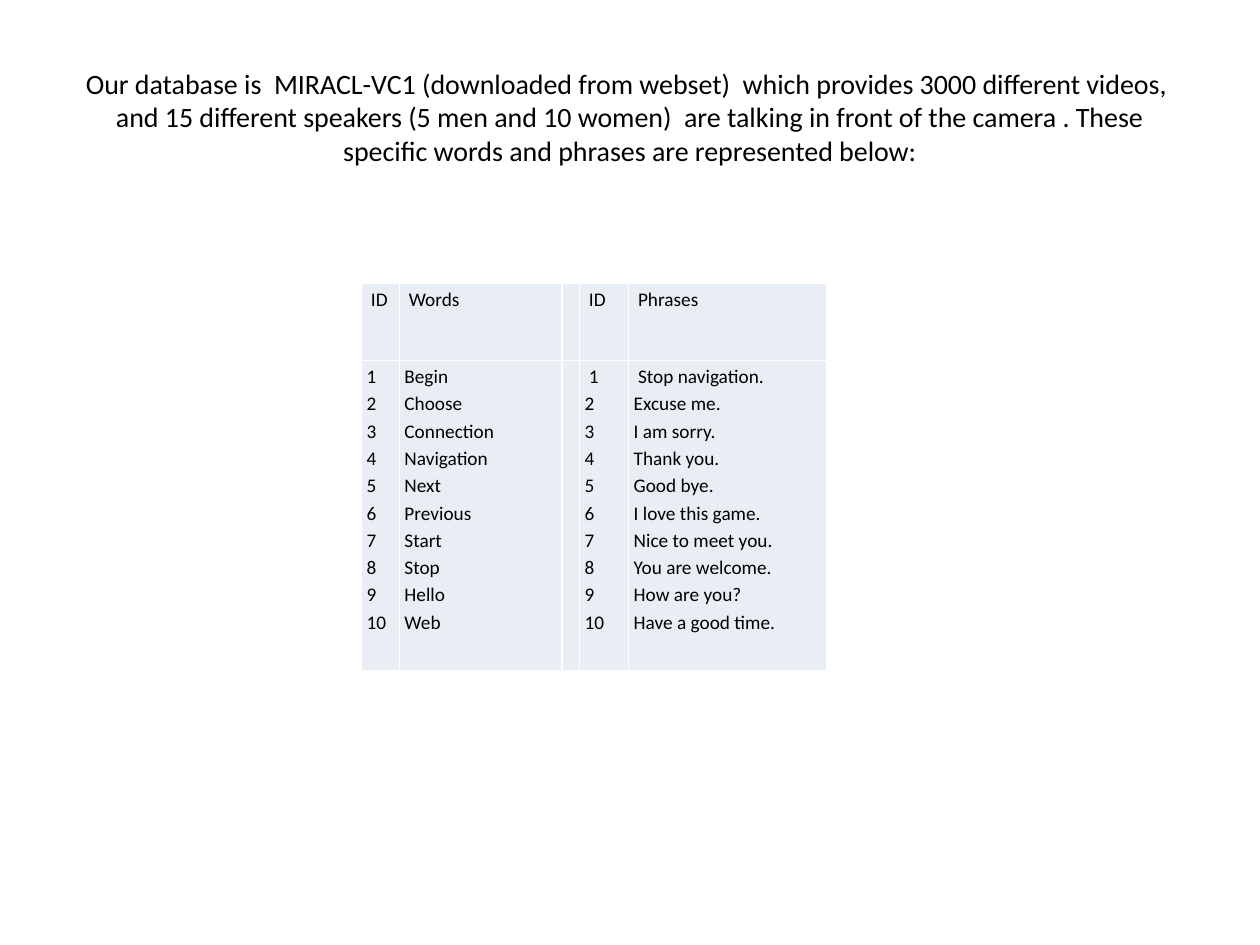
import dataclasses
import typing

import lxml.etree
import pptx
import pptx.dml.color
import pptx.enum.text
import pptx.oxml.ns
import pptx.util

BLACK = pptx.dml.color.RGBColor(0x00, 0x00, 0x00)
WHITE = pptx.dml.color.RGBColor(0xFF, 0xFF, 0xFF)
PALE_BLUE = pptx.dml.color.RGBColor(0xE9, 0xED, 0xF4)
FONT = "Calibri"
ALIGN = pptx.enum.text.PP_ALIGN
ANCHOR = pptx.enum.text.MSO_ANCHOR
GRID = pptx.util.Inches(0.1)

TITLE = (
    "Our database is  MIRACL-VC1 (downloaded from webset)  which provides "
    "3000 different videos,  and 15 different speakers (5 men and 10 women)  "
    "are talking in front of the camera . These specific words and phrases "
    "are represented below:"
)
WORDS = ["Begin", "Choose", "Connection", "Navigation", "Next",
         "Previous", "Start", "Stop", "Hello", "Web"]
PHRASES = [" Stop navigation.", "Excuse me.", "I am sorry.", "Thank you.",
           "Good bye.", "I love this game.", "Nice to meet you.",
           "You are welcome.", "How are you?", "Have a good time."]
IDS = [str(n) for n in range(1, 11)]


@dataclasses.dataclass
class Column:
    width: float
    header: str = ""
    entries: list[str] = dataclasses.field(default_factory=list)


COLUMNS = [
    Column(3.0, " ID", IDS),
    Column(12.9, " Words", WORDS),
    Column(1.4),
    Column(3.9, " ID", [" 1"] + IDS[1:]),
    Column(15.7, " Phrases", PHRASES),
]
ROW_HEIGHTS = [6.1, 24.6]


def grid(units: float) -> int:
    return round(units * GRID)


def write(tf: typing.Any, lines: list[str], *, size: float,
          align: typing.Any, spacing: float = 1.0) -> None:
    for i, line in enumerate(lines):
        p = tf.paragraphs[0] if i == 0 else tf.add_paragraph()
        p.alignment = align
        p.line_spacing = spacing
        r = p.add_run()
        r.text = line
        r.font.name = FONT
        r.font.size = pptx.util.Pt(size)
        r.font.bold = False
        r.font.color.rgb = BLACK


def add_borders(cell: typing.Any) -> None:
    qn = pptx.oxml.ns.qn
    tc_pr = cell._tc.get_or_add_tcPr()
    for i, side in enumerate(("lnL", "lnR", "lnT", "lnB")):
        ln = lxml.etree.Element(qn(f"a:{side}"), w=str(pptx.util.Pt(1)))
        fill = lxml.etree.SubElement(ln, qn("a:solidFill"))
        lxml.etree.SubElement(fill, qn("a:srgbClr"), val=str(WHITE))
        tc_pr.insert(i, ln)


def fill_cell(cell: typing.Any, lines: list[str]) -> None:
    cell.margin_left = cell.margin_right = pptx.util.Inches(0.04)
    cell.margin_top = cell.margin_bottom = pptx.util.Inches(0.01)
    cell.fill.solid()
    cell.fill.fore_color.rgb = PALE_BLUE
    add_borders(cell)
    write(cell.text_frame, lines, size=11, align=ALIGN.JUSTIFY, spacing=1.15)


def add_title(s: typing.Any) -> None:
    sp = s.shapes.title
    sp.left, sp.top, sp.width, sp.height = map(grid, (5, 3, 90, 12.5))
    tf = sp.text_frame
    tf.word_wrap = True
    tf.auto_size = pptx.enum.text.MSO_AUTO_SIZE.NONE
    tf.vertical_anchor = ANCHOR.MIDDLE
    write(tf, [TITLE], size=16, align=ALIGN.CENTER)


def add_vocabulary(s: typing.Any) -> None:
    width = sum(c.width for c in COLUMNS)
    table = s.shapes.add_table(
        len(ROW_HEIGHTS), len(COLUMNS), grid(28.7), grid(22.5),
        grid(width), grid(sum(ROW_HEIGHTS))).table
    table.first_row = False
    table.horz_banding = False
    for row, height in zip(table.rows, ROW_HEIGHTS):
        row.height = grid(height)
    for i, column in enumerate(COLUMNS):
        table.columns[i].width = grid(column.width)
        fill_cell(table.cell(0, i), [column.header] if column.header else [])
        fill_cell(table.cell(1, i), column.entries)


def main() -> None:
    prs = pptx.Presentation()
    prs.slide_width = grid(100)
    prs.slide_height = grid(75)
    s = prs.slides.add_slide(prs.slide_layouts.get_by_name("Title Only"))
    add_title(s)
    add_vocabulary(s)
    prs.save("out.pptx")


if __name__ == "__main__":
    main()
